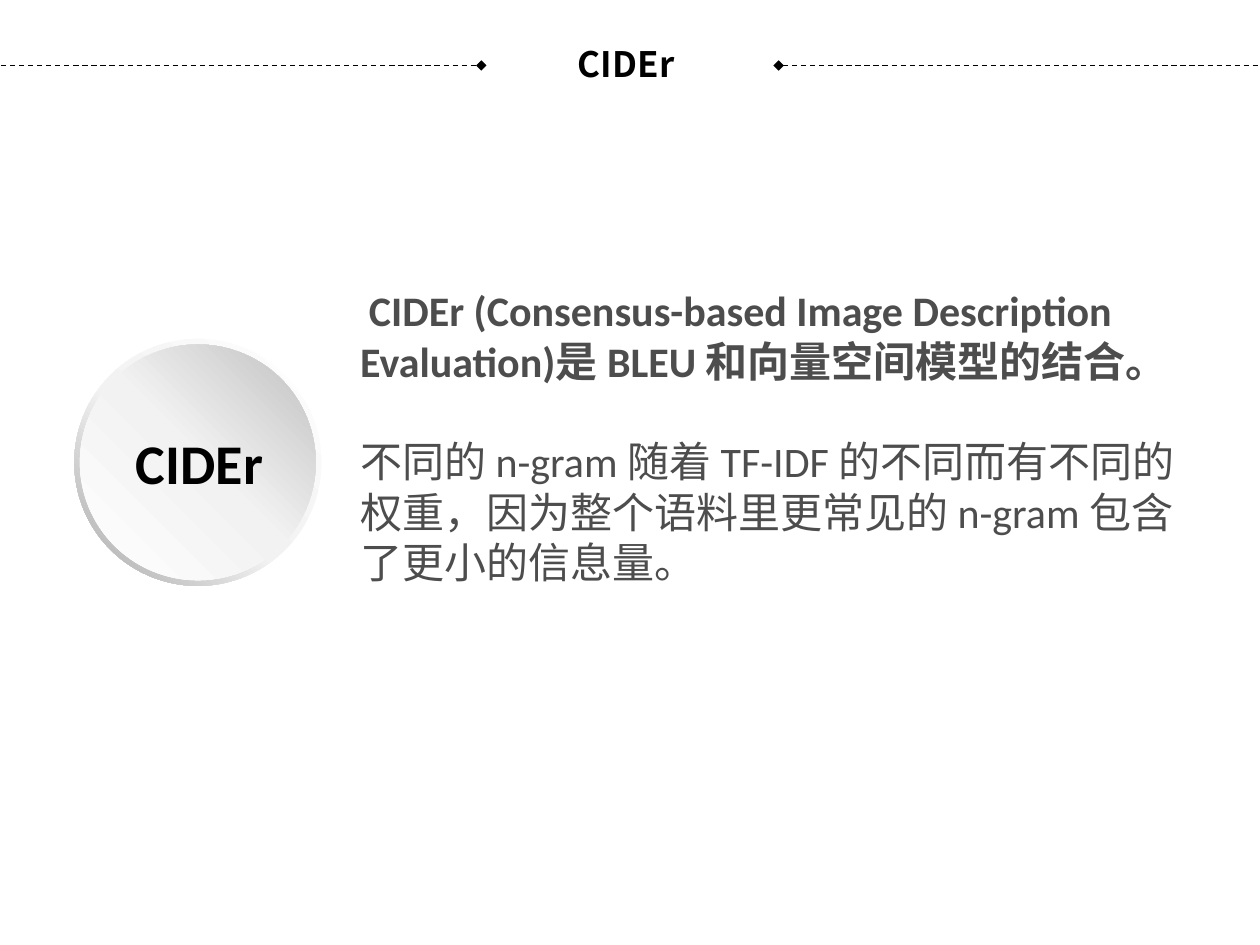
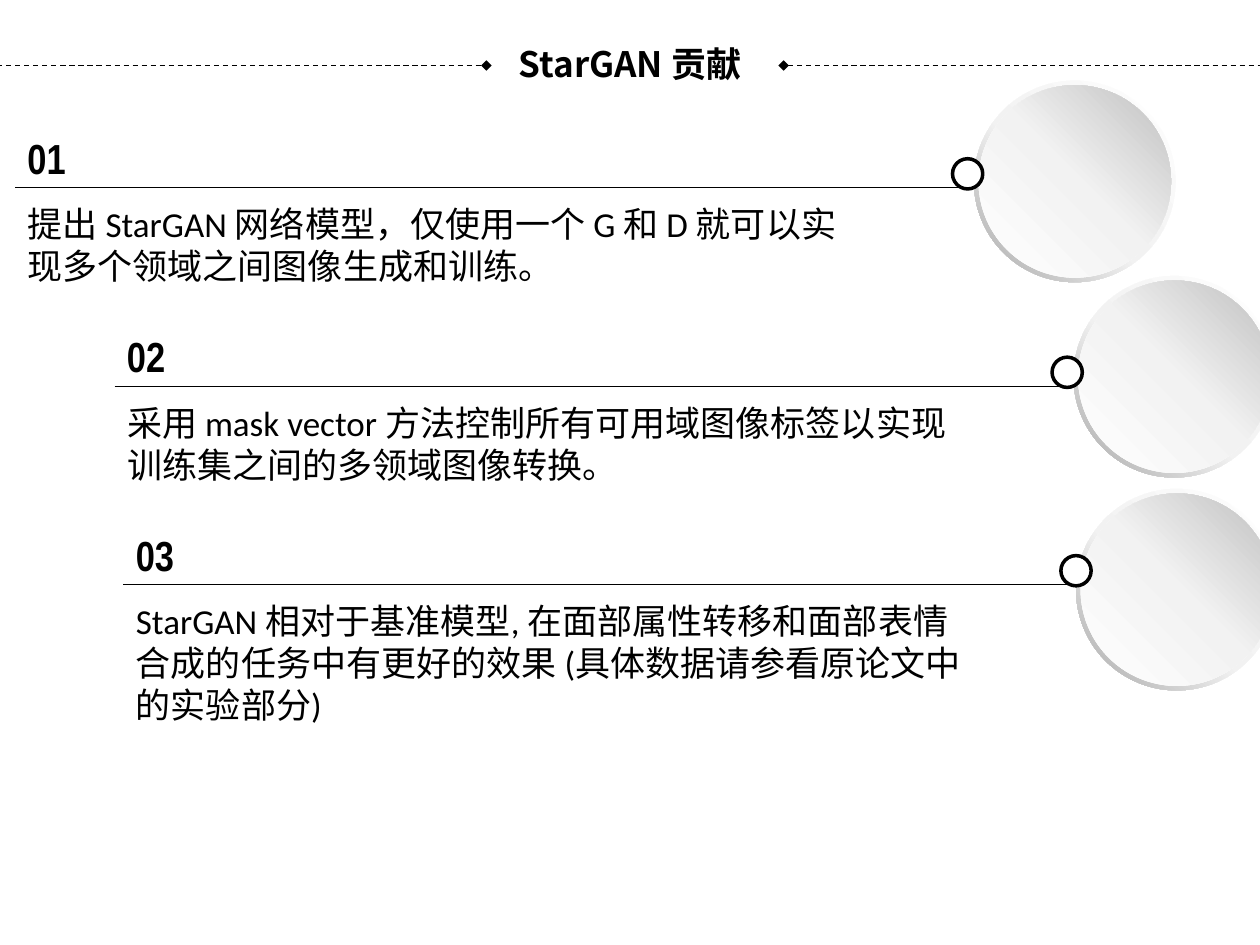
from dataclasses import dataclass

from lxml import etree
from pptx import Presentation
from pptx.dml.color import RGBColor
from pptx.enum.dml import MSO_LINE
from pptx.enum.shapes import MSO_CONNECTOR, MSO_SHAPE
from pptx.enum.text import MSO_ANCHOR, PP_ALIGN
from pptx.oxml.ns import qn
from pptx.util import Inches, Pt

OVAL, RING = MSO_SHAPE.OVAL, MSO_SHAPE.DONUT
STRAIGHT, DASH = MSO_CONNECTOR.STRAIGHT, MSO_LINE.DASH
MIDDLE, CENTER = MSO_ANCHOR.MIDDLE, PP_ALIGN.CENTER


@dataclass(frozen=True)
class Theme:
    """Colours, fonts and type sizes shared by the slides."""
    ink: str = "000000"
    gray: str = "4D4D4D"
    paper: str = "FFFFFF"
    rim: tuple = ((0, "FFFFFF"), (55, "F2F2F2"), (100, "A6A6A6"))
    face: tuple = ((0, "FFFFFF"), (51, "F2F2F2"), (100, "BFBFBF"))
    han: str = "Noto Sans CJK SC"
    latin: str = "Calibri"
    narrow: str = "Arial Narrow"
    title: int = 20
    text: int = 20
    large: int = 24
    label: int = 32


THEME = Theme()

STEPS = (
    (0.12, "01", "提出 StarGAN 网络模型，仅使用一个 G 和 D 就可以实现多个领域之间图像生成和训练。"),
    (0.91, "02", "采用 mask vector 方法控制所有可用域图像标签以实现训练集之间的多领域图像转换。"),
    (0.98, "03", "StarGAN 相对于基准模型, 在面部属性转移和面部表情合成的任务中有更好的效果 "
                 "(具体数据请参看原论文中的实验部分)"),
)
DISCS = ((7.73, 0.64), (8.52, 2.19), (8.54, 3.88))


def add_para(frame, text, size, font, color=THEME.ink, bold=False):
    """Fill the empty first paragraph or append one, and style it."""
    para = frame.paragraphs[0]
    if para.runs:
        para = frame.add_paragraph()
    para.text = text
    para.font.size, para.font.bold, para.font.name = Pt(size), bold, font
    para.font.color.rgb = RGBColor.from_string(color)
    for run in para.runs:
        east = etree.SubElement(run.font._element, qn("a:ea"))
        east.set("typeface", THEME.han)
    return para


def add_box(slide, left, top, width, height, wrap=True):
    """Add an empty text box and return its frame."""
    spot = map(Inches, (left, top, width, height))
    frame = slide.shapes.add_textbox(*spot).text_frame
    frame.word_wrap = wrap
    return frame


def add_rule(slide, left, right, y, dashed=False):
    """Draw a level line, dashed with diamond ends on request."""
    rule = slide.shapes.add_connector(
        STRAIGHT, Inches(left), Inches(y), Inches(right), Inches(y))
    rule.line.color.rgb = RGBColor.from_string(THEME.ink)
    rule.line.width = Pt(0.75)
    props = rule._element.spPr
    etree.SubElement(props, qn("a:effectLst"))
    if dashed:
        rule.line.dash_style = DASH
        for end in ("a:headEnd", "a:tailEnd"):
            etree.SubElement(props.find(qn("a:ln")), qn(end)).set("type", "diamond")


def add_round(slide, kind, left, top, size):
    """Add a round shape without shadow."""
    shape = slide.shapes.add_shape(
        kind, Inches(left), Inches(top), Inches(size), Inches(size))
    shape.shadow.inherit = False
    return shape


def set_blend(shape, stops, angle):
    """Give a borderless shape a linear blend of several colours."""
    shape.line.fill.background()
    shape.fill.gradient()
    grad = shape._element.spPr.find(qn("a:gradFill"))
    parts = grad.find(qn("a:gsLst"))
    for old in list(parts):
        parts.remove(old)
    for place, color in stops:
        stop = etree.SubElement(parts, qn("a:gs"), pos=str(place * 1000))
        etree.SubElement(stop, qn("a:srgbClr"), val=color)
    grad.find(qn("a:lin")).set("ang", str(angle * 60000))


def add_disc(slide, left, top, size):
    """Draw a raised disc: a thin rim around a shaded face."""
    rim = add_round(slide, RING, left, top, size)
    rim.adjustments[0] = 0.049
    set_blend(rim, THEME.rim, 135)
    inset = size * 0.0225
    face = add_round(slide, OVAL, left + inset, top + inset, size - 2 * inset)
    set_blend(face, THEME.face, 315)


def add_head(slide, text, mid, left):
    """Draw the slide title between two dashed rules."""
    for start in (left, left + 7.64):
        add_rule(slide, start, start + 5.28, 0.52, dashed=True)
    frame = add_box(slide, mid - 1.26, 0.24, 2.52, 0.52)
    frame.vertical_anchor = MIDDLE
    para = add_para(frame, text, THEME.title, THEME.han, bold=True)
    para.alignment = CENTER


def add_step(slide, left, top, number, text):
    """Draw a numbered point with its rule and end dot."""
    add_rule(slide, left, left + 7.56, top + 0.49)
    dot = add_round(slide, OVAL, left + 7.44, top + 0.26, 0.24)
    dot.fill.solid()
    dot.fill.fore_color.rgb = RGBColor.from_string(THEME.paper)
    dot.line.color.rgb = RGBColor.from_string(THEME.ink)
    dot.line.width = Pt(2)
    frame = add_box(slide, left, top, 3.43, 0.31)
    add_para(frame, number, THEME.large, THEME.narrow, bold=True)
    frame = add_box(slide, left, top + 0.56, 6.85, 0.62)
    add_para(frame, text, THEME.text, THEME.latin)


def build_cider(slide):
    """Build the slide that explains the CIDEr measure."""
    add_head(slide, "CIDEr", 4.97, -1.46)
    add_disc(slide, 0.59, 2.69, 1.96)
    label = add_box(slide, 0.98, 3.35, 1.21, 0.64, wrap=False)
    add_para(label, "CIDEr", THEME.label, THEME.latin, bold=True)
    body = add_box(slide, 2.76, 2.21, 6.69, 2.93)
    lead = add_para(
        body, "CIDEr (Consensus-based Image Description Evaluation)是 BLEU 和向量空间模型的结合。",
        THEME.large, THEME.latin, THEME.gray, bold=True)
    lead._p.get_or_add_pPr().set("indent", str(Inches(0.07)))
    note = add_para(
        body, "不同的 n-gram 随着 TF-IDF 的不同而有不同的权重，因为整个语料里更常见的 n-gram 包含了更小的信息量。",
        THEME.large, THEME.latin, THEME.gray)
    note.space_before = Pt(28.8)


def build_gains(slide):
    """Build the slide that lists the contributions."""
    for left, top in DISCS:
        add_disc(slide, left, top, 1.6)
    add_head(slide, "StarGAN 贡献", 5, -1.42)
    for row, (left, number, text) in enumerate(STEPS):
        add_step(slide, left, 1 + 1.575 * row, number, text)


def main():
    """Build and save the deck."""
    deck = Presentation()
    deck.slide_width, deck.slide_height = Inches(10), Inches(7.5)
    for build in (build_cider, build_gains):
        build(deck.slides.add_slide(deck.slide_layouts[6]))
    deck.save("out.pptx")


if __name__ == "__main__":
    main()
